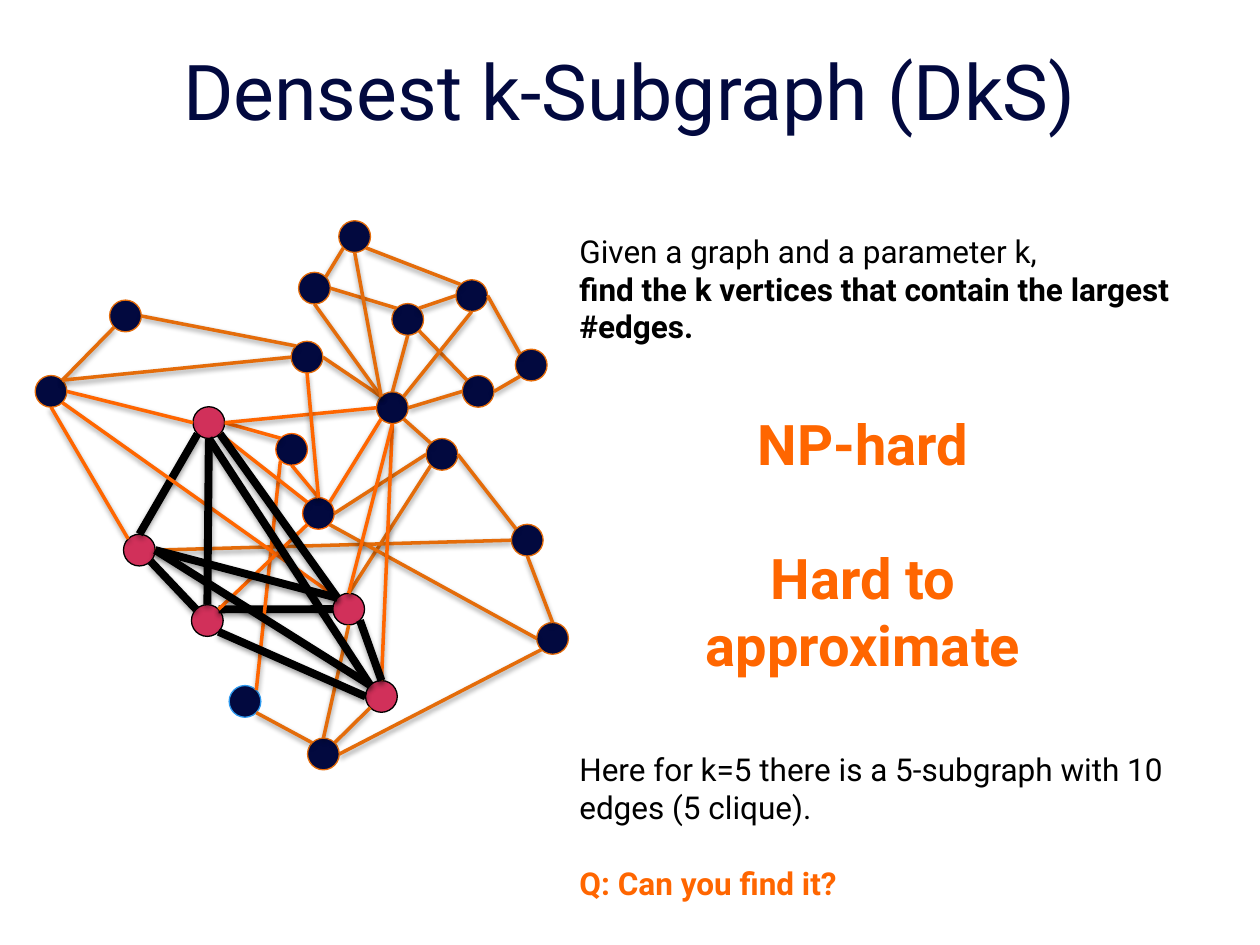
import math

import pptx
import pptx.dml.color
import pptx.enum.shapes
import pptx.enum.text
import pptx.oxml
import pptx.util

Cm, Pt = pptx.util.Cm, pptx.util.Pt
PP_ALIGN = pptx.enum.text.PP_ALIGN
NAVY, RED, BLACK = "02093F", "D1305A", "000000"
ORANGE, RUST, BLUE = "FF6600", "E46C0A", "2E99EE"
FONT = "Roboto"
NODE_SIZE = 0.64
SIDES = ["E", "SE", "S", "SW", "W", "NW", "N", "NE"]  # clockwise, 45° apart

SHADOW = (
    '<a:effectLst xmlns:a="http://schemas.openxmlformats.org/drawingml/2006/main">'
    '<a:outerShdw blurRad="40000" dist="20000" dir="5400000" rotWithShape="0">'
    '<a:srgbClr val="000000"><a:alpha val="38000"/></a:srgbClr>'
    '</a:outerShdw></a:effectLst>'
)

# Nodes: top left corner in cm; r1 to r5 form the clique
NODES = {
    "r1": (3.89, 8.2), "r2": (2.49, 10.77), "r3": (3.86, 12.19),
    "r4": (6.71, 11.96), "r5": (7.37, 13.72),
    "a": (5.56, 8.74), "b": (0.71, 7.57), "c": (4.62, 13.82),
    "d": (8.59, 8.84), "e": (10.31, 10.57), "f": (6.1, 10.03),
    "g": (6.2, 14.88), "h": (10.82, 12.55), "i": (5.87, 6.88),
    "j": (7.59, 7.9), "k": (2.21, 6.05), "l": (7.9, 6.12),
    "m": (9.32, 7.57), "n": (6.02, 5.49), "o": (9.19, 5.64),
    "p": (10.39, 7.04), "q": (6.83, 4.45),
}
NODE_LINES = {"a": ORANGE, "f": ORANGE, "c": BLUE}

# Edges, back to front: colour, width, and node.side pairs
EDGES = [
    (BLACK, 4.5, "r2.SE r3.NW, r1.SW r2.N, r3.NE r4.W"),
    (RUST, 2,
     "d.E e.NW, e.S h.N, r4.S g.N, f.E d.W, d.SW r4.N, c.SE g.NW, r2.E e.W, "
     "i.E j.NW, k.E i.NW, j.SE d.NW, b.NE k.SW, g.NE r5.SW, g.E h.SW, "
     "f.SE h.W, b.NE i.W, l.SE m.NW, n.E l.NW, n.S j.NW, l.S j.N, j.E m.W, "
     "o.E p.NW, q.SE o.NW, n.NE q.SW, l.NE o.W, m.E p.SW, j.NE o.S, q.S j.NW"),
    (ORANGE, 2,
     "r1.E a.NW, a.SW c.NE, b.E r1.W, b.S r2.NW, b.SE r4.NW, j.S r5.N, "
     "f.SW r3.NE, r1.E j.W, j.S r4.N, f.N a.S, f.N i.S, f.NW r1.SE, f.NE j.SW"),
    (BLACK, 4.5,
     "r4.NW r2.E, r4.NW r1.SE, r5.N r4.SE, r5.NW r1.S, r5.W r3.SE, "
     "r2.E r5.NW, r3.N r1.S"),
]


def rgb(value):
    return pptx.dml.color.RGBColor.from_string(value)


def rim_point(ref):
    """Point on the rim of a node, from a reference such as 'r1.SE'."""
    name, side = ref.split(".")
    angle = math.radians(45 * SIDES.index(side))
    x, y = NODES[name]
    radius = NODE_SIZE / 2
    return (Cm(x + radius * (1 + math.cos(angle))),
            Cm(y + radius * (1 + math.sin(angle))))


class Deck:
    def __init__(self, width, height):
        self.prs = pptx.Presentation()
        self.prs.slide_width, self.prs.slide_height = Cm(width), Cm(height)
        self.slide = self.prs.slides.add_slide(self.prs.slide_layouts[5])

    def format(self, p, size, color, bold=False, align=PP_ALIGN.LEFT):
        p.alignment = align
        p.font.name, p.font.size, p.font.bold = FONT, Pt(size), bold
        p.font.color.rgb = rgb(color)

    def title(self, text, x, y, w, h):
        sp = self.slide.shapes.title
        sp.left, sp.top, sp.width, sp.height = Cm(x), Cm(y), Cm(w), Cm(h)
        tf = sp.text_frame
        tf.text = text
        tf.vertical_anchor = pptx.enum.text.MSO_ANCHOR.TOP
        self.format(tf.paragraphs[0], 44, NAVY, align=PP_ALIGN.CENTER)

    def text(self, x, y, w, h, lines, size=18, gap=0, align=PP_ALIGN.LEFT):
        """Text box; lines holds (text, colour, bold), gap is in points."""
        sp = self.slide.shapes.add_textbox(Cm(x), Cm(y), Cm(w), Cm(h))
        tf = sp.text_frame
        tf.word_wrap = True
        for n, (text, color, bold) in enumerate(lines):
            p = tf.add_paragraph() if n else tf.paragraphs[0]
            p.text = text
            p.space_before = Pt(gap if n else 0)
            self.format(p, size, color, bold, align)

    def node(self, x, y, fill, line):
        sp = self.slide.shapes.add_shape(
            pptx.enum.shapes.MSO_SHAPE.OVAL,
            Cm(x), Cm(y), Cm(NODE_SIZE), Cm(NODE_SIZE))
        sp.shadow.inherit = False
        sp.fill.solid()
        sp.fill.fore_color.rgb = rgb(fill)
        sp.line.color.rgb = rgb(line)
        sp.line.width = Pt(0.75)

    def edge(self, start, end, color, width):
        line = self.slide.shapes.add_connector(
            pptx.enum.shapes.MSO_CONNECTOR.STRAIGHT,
            *rim_point(start), *rim_point(end))
        line.line.color.rgb = rgb(color)
        line.line.width = Pt(width)
        line._element.spPr.append(pptx.oxml.parse_xml(SHADOW))


def main():
    deck = Deck(25.4, 19.05)
    deck.title("Densest k-Subgraph (DkS)", 1.27, 0.76, 22.86, 3.18)

    # Graph
    for name, (x, y) in NODES.items():
        if name.startswith("r"):
            deck.node(x, y, RED, BLACK)
        else:
            deck.node(x, y, NAVY, NODE_LINES.get(name, RUST))
    for color, width, pairs in EDGES:
        for pair in pairs.split(", "):
            deck.edge(*pair.split(), color, width)

    # Problem, hardness and question
    deck.text(11.43, 4.55, 14.27, 3.33, [
        ("Given a graph and a parameter k,", BLACK, False),
        ("find the k vertices that contain the largest #edges.", BLACK, True)])
    deck.text(11.43, 14.99, 12.7, 3.33, [
        ("Here for k=5 there is a 5-subgraph with 10 edges (5 clique).",
         BLACK, False),
        ("Q: Can you find it?", ORANGE, True)], gap=22)
    deck.text(12.09, 8.13, 10.62, 4.37, [
        ("NP-hard", ORANGE, True),
        ("Hard to approximate", ORANGE, True)],
        size=32, gap=38, align=PP_ALIGN.CENTER)

    deck.prs.save("out.pptx")


if __name__ == "__main__":
    main()
